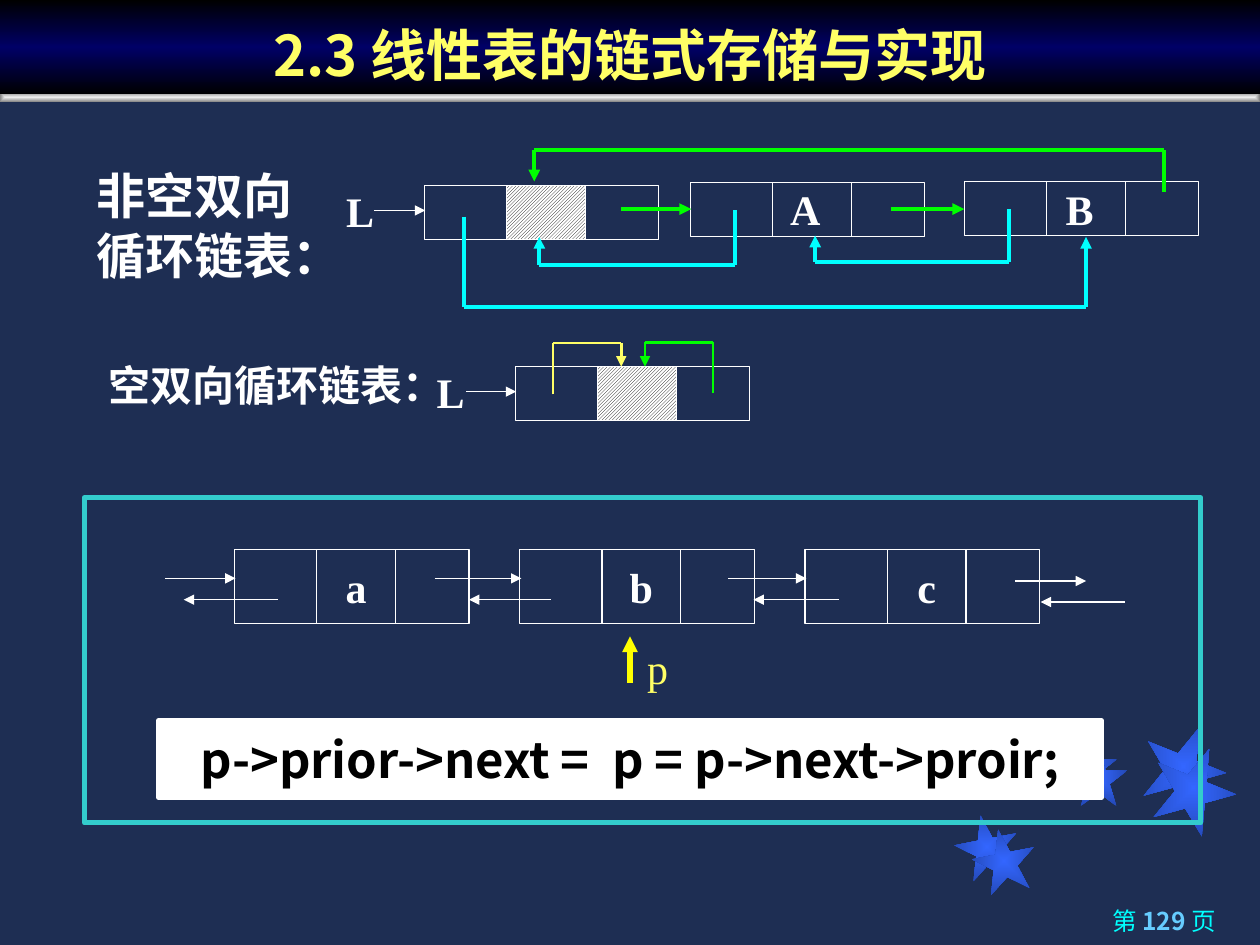
from dataclasses import dataclass
from lxml.etree import SubElement
from pptx import Presentation
from pptx.dml.color import RGBColor
from pptx.enum.dml import MSO_PATTERN
from pptx.enum.shapes import MSO_CONNECTOR, MSO_SHAPE
from pptx.enum.text import MSO_ANCHOR, MSO_AUTO_SIZE, PP_ALIGN
from pptx.oxml.ns import qn
from pptx.util import Pt


@dataclass(frozen=True)
class Theme:
    background: str = "1E2E53"
    white: str = "FFFFFF"
    black: str = "000000"
    navy: str = "000066"
    title: str = "FFFF66"
    yellow: str = "FFFF00"
    green: str = "00FF00"
    cyan: str = "00FFFF"
    sky: str = "66CCFF"
    frame: str = "33CCCC"
    star: tuple = ("3366FF", "2449B6")
    bar: tuple = ("EDEDED", "808080")
    sans: str = "Noto Sans CJK SC"
    serif: str = "Times New Roman"
    title_size: int = 32
    large: int = 28
    normal: int = 24
    small: int = 14


theme = Theme()

TITLE = "2.3 线性表的链式存储与实现"
CODE = "p->prior->next =  p = p->next->proir;"
PAGE_NUMBER = [("第 ", theme.cyan, False), ("129 ", theme.sky, True), ("页", theme.cyan, False)]

STARS = [
    (545.8, 465.8, 36, 349), (605.5, 421.2, 33, 0), (652.3, 414, 48, 22),
    (555.8, 473.8, 36, 349), (611.3, 427.7, 33, 0), (658, 426.2, 48, 22),
]

CELLS = [(0, 47), (47, 45), (92, 42)]
LIST_HEIGHT, CHAIN_HEIGHT = 31, 42.5
NODES = [
    (242.5, 106, LIST_HEIGHT, "", True),
    (394.5, 104.3, LIST_HEIGHT, "", False),
    (551, 103.7, LIST_HEIGHT, "", False),
    (294.5, 209.5, LIST_HEIGHT, "", True),
] + [(134 + 163 * index, 314, CHAIN_HEIGHT, name, False) for index, name in enumerate("abc")]

LABELS = [
    ("L", 190.8, 102.2, 30, theme.white, True),
    ("A", 444.2, 101.5, 32, theme.white, True),
    ("B", 602, 101.5, 30, theme.white, True),
    ("L", 242.6, 206, 30, theme.white, True),
    ("p", 362.2, 363.6, 27, theme.title, False),
]
HEADINGS = [
    ("非空双向循环链表：", 48.2, 90.7, 139, 75, theme.large, True),
    ("空双向循环链表：", 54.7, 201.6, 207.4, 36, theme.normal, False),
]

ARROWS = [
    (theme.white, 0.75, [
        [(214, 120.3), (243, 120.3)],
        [(266.4, 223.8), (295, 223.8)],
        [(94.3, 330.5), (134.6, 330.5)],
        [(159, 342.7), (105, 342.7)],
        [(248.4, 330.5), (298, 330.5)],
        [(314.6, 342.7), (268, 342.7)],
        [(416.2, 330.5), (460.8, 330.5)],
        [(479.5, 342.7), (430.6, 342.7)],
        [(580.3, 332), (620.6, 332)],
        [(643, 344), (594.7, 344)],
    ]),
    (theme.title, 1.5, [[(316, 225.4), (316, 196), (355, 196), (355, 209.5)]]),
    (theme.green, 1.5, [[(407.5, 224.6), (407.5, 195.6), (368.6, 195.6), (368.6, 209.5)]]),
    (theme.green, 2.25, [
        [(355, 119.5), (395, 119.5)],
        [(509, 119.5), (551, 119.5)],
        [(665.3, 109.5), (665.3, 85.7), (305.3, 85.7), (305.3, 103.7)],
    ]),
    (theme.cyan, 2.25, [
        [(576.7, 119.5), (576.7, 149.8), (465.8, 149.8), (465.8, 134.6)],
        [(419.8, 120.3), (419.8, 151.2), (308.2, 151.2), (308.2, 135.4)],
        [(265, 123.8), (265, 175.7), (620.6, 175.7), (620.6, 135.4)],
    ]),
    (theme.yellow, 3, [[(360, 390.2), (360, 363.6)]]),
]


def rgb(value):
    return RGBColor.from_string(value)


def gradient(shape, colors, angle=None):
    shape.fill.background()
    blank = shape._element.spPr.find(qn("a:noFill"))
    fill = blank.makeelement(qn("a:gradFill"), {"rotWithShape": "1"})
    stops = SubElement(fill, qn("a:gsLst"))
    for index, color in enumerate(colors):
        position = round(100000 * index / (len(colors) - 1))
        stop = SubElement(stops, qn("a:gs"), pos=str(position))
        SubElement(stop, qn("a:srgbClr"), val=color)
    if angle is None:
        shade = SubElement(fill, qn("a:path"), {"path": "shape"})
        SubElement(shade, qn("a:fillToRect"), l="50000", t="50000", r="50000", b="50000")
    else:
        SubElement(fill, qn("a:lin"), ang=str(angle * 60000), scaled="1")
    blank.getparent().replace(blank, fill)


def add_box(page, kind, left, top, width, height, line=None, weight=0.75):
    shape = page.shapes.add_shape(kind, Pt(left), Pt(top), Pt(width), Pt(height))
    shape.shadow.inherit = False
    shape.fill.background()
    if line:
        shape.line.color.rgb = rgb(line)
        shape.line.width = Pt(weight)
    else:
        shape.line.fill.background()
    return shape


def style(paragraph, size, color, face, bold, align):
    paragraph.alignment = align
    font = paragraph.font
    font.name, font.size, font.bold = face, Pt(size), bold
    font.color.rgb = rgb(color)
    defaults = paragraph._p.pPr.find(qn("a:defRPr"))
    SubElement(defaults, qn("a:ea"), typeface=theme.sans)


def write(shape, text, size, color, face, bold=True, align=PP_ALIGN.CENTER,
          anchor=MSO_ANCHOR.MIDDLE, wrap=True):
    frame = shape.text_frame
    frame.auto_size = MSO_AUTO_SIZE.NONE
    frame.word_wrap = wrap
    frame.vertical_anchor = anchor
    paragraph = frame.paragraphs[0]
    paragraph.text = text
    style(paragraph, size, color, face, bold, align)
    return paragraph


def add_text(page, left, top, width, height):
    return page.shapes.add_textbox(Pt(left), Pt(top), Pt(width), Pt(height))


def add_node(page, left, top, height, name, hatched):
    for index, (offset, width) in enumerate(CELLS):
        cell = add_box(page, MSO_SHAPE.RECTANGLE, left + offset, top, width, height, theme.white)
        if index != 1:
            continue
        if hatched:
            cell.fill.patterned()
            cell.fill.pattern = MSO_PATTERN.LIGHT_UPWARD_DIAGONAL
            cell.fill.fore_color.rgb = rgb(theme.black)
            cell.fill.back_color.rgb = rgb(theme.white)
        if name:
            frame = cell.text_frame
            frame.margin_left = frame.margin_right = frame.margin_top = frame.margin_bottom = 0
            write(cell, name, theme.normal, theme.white, theme.serif)


def add_arrow(page, points, color, weight):
    for start, end in zip(points, points[1:]):
        line = page.shapes.add_connector(MSO_CONNECTOR.STRAIGHT, *map(Pt, start + end))
        line.line.color.rgb = rgb(color)
        line.line.width = Pt(weight)
        if end == points[-1]:
            SubElement(line.line._get_or_add_ln(), qn("a:tailEnd"), type="triangle")
        SubElement(line._element.spPr, qn("a:effectLst"))


def add_decoration(page):
    for left, top, size, turn in STARS:
        star = add_box(page, MSO_SHAPE.STAR_5_POINT, left, top, size, size)
        star.rotation = turn
        gradient(star, theme.star)
    gradient(add_box(page, MSO_SHAPE.RECTANGLE, 0, 52.6, 720, 5.8), theme.bar)
    number = add_text(page, 512.6, 514, 189.4, 26)
    paragraph = write(number, "", theme.small, theme.cyan, theme.sans, False, PP_ALIGN.RIGHT,
                      MSO_ANCHOR.TOP)
    for text, color, bold in PAGE_NUMBER:
        span = paragraph.add_run()
        span.text = text
        span.font.bold = bold
        span.font.color.rgb = rgb(color)


def add_title(page):
    title = page.shapes.title
    title.left, title.top, title.width, title.height = Pt(0), Pt(0), Pt(720), Pt(54)
    gradient(title, (theme.black, theme.navy, theme.black), 90)
    write(title, TITLE, theme.title_size, theme.title, theme.sans, anchor=MSO_ANCHOR.BOTTOM)
    page.shapes._spTree.append(title._element)


def main():
    deck = Presentation()
    deck.slide_width, deck.slide_height = Pt(720), Pt(540)
    page = deck.slides.add_slide(deck.slide_layouts[5])
    page.background.fill.solid()
    page.background.fill.fore_color.rgb = rgb(theme.background)
    add_decoration(page)
    add_title(page)

    add_box(page, MSO_SHAPE.RECTANGLE, 48.2, 284.4, 638, 185.8, theme.frame, 3)
    code = add_box(page, MSO_SHAPE.RECTANGLE, 90.7, 411.8, 538.6, 44, theme.white, 3)
    code.fill.solid()
    code.fill.fore_color.rgb = rgb(theme.white)
    write(code, CODE, theme.large, theme.black, theme.sans)

    for node in NODES:
        add_node(page, *node)
    for color, weight, routes in ARROWS:
        for points in routes:
            add_arrow(page, points, color, weight)
    for text, left, top, width, color, bold in LABELS:
        box = add_text(page, left, top, width, 36)
        write(box, text, theme.normal, color, theme.serif, bold, wrap=False)
    for text, left, top, width, height, size, wrap in HEADINGS:
        box = add_text(page, left, top, width, height)
        paragraph = write(box, text, size, theme.white, theme.serif, True, PP_ALIGN.LEFT,
                          MSO_ANCHOR.TOP, wrap)
        paragraph.line_spacing = Pt(round(size * 1.22))
    deck.save("out.pptx")


if __name__ == "__main__":
    main()
